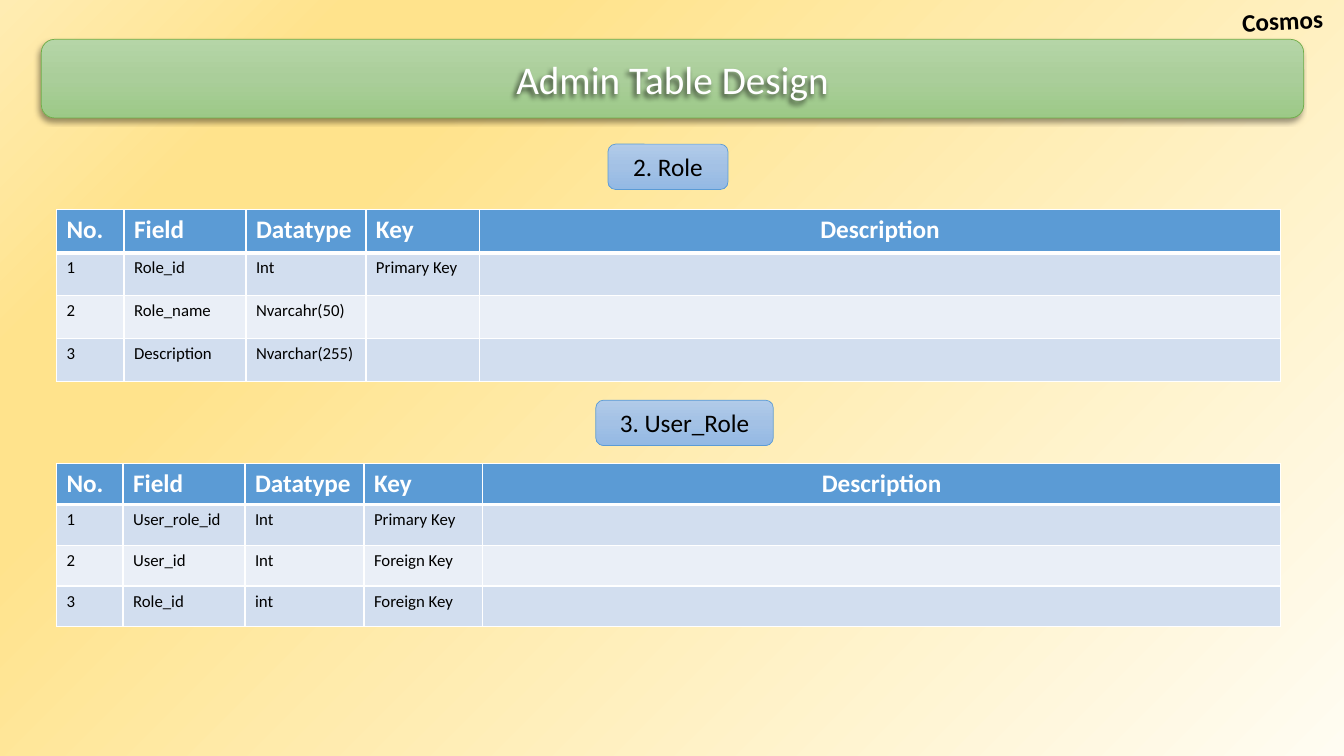
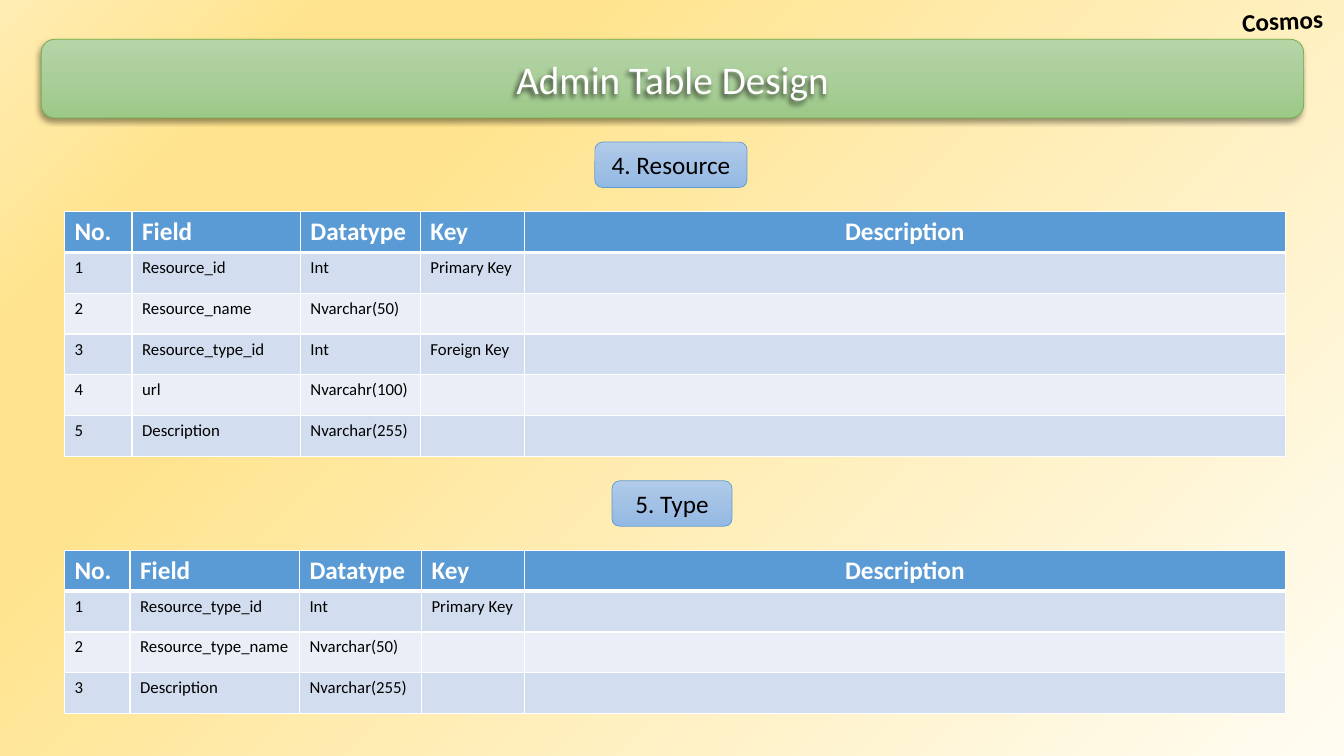
"""Build two slides of admin table designs with python-pptx."""
from lxml import etree
from pptx import Presentation
from pptx.dml.color import RGBColor
from pptx.enum.shapes import MSO_SHAPE
from pptx.enum.text import MSO_ANCHOR, MSO_AUTO_SIZE, PP_ALIGN
from pptx.oxml.ns import qn
from pptx.util import Inches, Pt

ROUNDED = MSO_SHAPE.ROUNDED_RECTANGLE
LEFT, CENTER = PP_ALIGN.LEFT, PP_ALIGN.CENTER
MIDDLE = MSO_ANCHOR.MIDDLE
GROW = MSO_AUTO_SIZE.SHAPE_TO_FIT_TEXT

FONT = "Calibri"
TITLE = "Admin Table Design"
MARK = "Cosmos"
HEADINGS = ("No.", "Field", "Datatype", "Key", "Description")
COLORS = {
    "white": "FFFFFF", "black": "000000", "header": "5B9BD5",
    "odd": "D2DEEF", "even": "EAEFF7",
    "band_line": "70AD47", "label_line": "5B9BD5",
}
BACKGROUND = ((0, "FFFCF2"), (74, "FFE38C"), (83, "FFE38C"), (100, "FFECB2"))
BAND = ((0, "B5D5A7"), (50, "AACE9A"), (100, "9CC987"))
LABEL = ((0, "B1CBE9"), (50, "A3C1E5"), (100, "93B9E4"))

SLIDES = [
    [
        {"label": "2. Role", "label_at": (6.03, 1.43, 1.19, 0.45),
         "at": (0.56, 2.08), "width": 12.14, "height": 1.71,
         "cols": (0.67, 1.21, 1.19, 1.13),
         "rows": [("Role_id", "Int", "Primary Key"),
                  ("Role_name", "Nvarcahr(50)", ""),
                  ("Description", "Nvarchar(255)", "")]},
        {"label": "3. User_Role", "label_at": (5.91, 3.97, 1.76, 0.45),
         "at": (0.56, 4.6), "width": 12.14, "height": 1.62,
         "cols": (0.66, 1.21, 1.18, 1.18),
         "rows": [("User_role_id", "Int", "Primary Key"),
                  ("User_id", "Int", "Foreign Key"),
                  ("Role_id", "int", "Foreign Key")]},
    ],
    [
        {"label": "4. Resource", "label_at": (5.9, 1.41, 1.51, 0.45),
         "at": (0.64, 2.1), "width": 12.11, "height": 2.43,
         "cols": (0.67, 1.67, 1.19, 1.03),
         "rows": [("Resource_id", "Int", "Primary Key"),
                  ("Resource_name", "Nvarchar(50)", ""),
                  ("Resource_type_id", "Int", "Foreign Key"),
                  ("url", "Nvarcahr(100)", ""),
                  ("Description", "Nvarchar(255)", "")]},
        {"label": "5. Type", "label_at": (6.07, 4.77, 1.19, 0.45),
         "at": (0.64, 5.46), "width": 12.11, "height": 1.62,
         "cols": (0.65, 1.68, 1.21, 1.02),
         "rows": [("Resource_type_id", "Int", "Primary Key"),
                  ("Resource_type_name", "Nvarchar(50)", ""),
                  ("Description", "Nvarchar(255)", "")]},
    ],
]


def rgb(name):
    return RGBColor.from_string(COLORS[name])


def add_color(parent, value):
    return etree.SubElement(parent, qn("a:srgbClr"), val=value)


def set_gradient(fill, owner, stops, angle):
    fill.gradient()
    grad = next(owner.iter(qn("a:gradFill")))
    stop_list = grad.find(qn("a:gsLst"))
    stop_list.clear()
    for position, value in stops:
        add_color(etree.SubElement(stop_list, qn("a:gs"), pos=str(position * 1000)), value)
    grad.find(qn("a:lin")).set("ang", str(angle * 60000))


def set_shadow(shape, opacity):
    shape.shadow.inherit = False
    effects = next(shape.element.iter(qn("a:effectLst")))
    outer = etree.SubElement(effects, qn("a:outerShdw"), blurRad=str(Pt(4)),
                             dist=str(Pt(3)), dir=str(135 * 60000), rotWithShape="0")
    color = add_color(outer, COLORS["black"])
    etree.SubElement(color, qn("a:alpha"), val=str(opacity * 1000))


def make_line(tag, width, color):
    line = etree.Element(qn(tag), w=str(Pt(width)))
    add_color(etree.SubElement(line, qn("a:solidFill")), COLORS[color])
    return line


def write(tf, text, size=18, color="black", bold=False, align=LEFT):
    p = tf.paragraphs[0]
    p.alignment = align
    r = p.add_run()
    r.text = text
    r.font.name, r.font.size, r.font.bold = FONT, Pt(size), bold
    r.font.color.rgb = rgb(color)
    return r


def add_box(s, at, stops, line):
    box = s.shapes.add_shape(ROUNDED, *map(Inches, at))
    box.shadow.inherit = False
    set_gradient(box.fill, box.element, stops, 90)
    box.line.color.rgb = rgb(line)
    box.line.width = Pt(0.5)
    return box


def add_header(s):
    title = s.shapes.title
    title.left, title.top, title.width, title.height = map(Inches, (5, 0.5, 3.34, 0.57))
    tf = title.text_frame
    tf.word_wrap, tf.auto_size, tf.vertical_anchor = False, GROW, MIDDLE
    write(tf, TITLE, size=28, color="white", align=CENTER)
    set_shadow(title, 70)
    band = add_box(s, (0.41, 0.39, 12.52, 0.78), BAND, "band_line")
    set_shadow(band, 40)
    title.element.addprevious(band.element)


def add_mark(s):
    mark = s.shapes.add_textbox(*map(Inches, (12.22, 0, 1, 0.4)))
    mark.rotation = -3
    tf = mark.text_frame
    tf.word_wrap, tf.auto_size = False, GROW
    tf.margin_left = tf.margin_right = 0
    r = write(tf, MARK, bold=True, align=CENTER)
    next(r._r.iter(qn("a:rPr"))).insert(0, make_line("a:ln", 0.75, "white"))


def format_cell(cell, text, row, centered):
    header = row == 0
    cell.fill.solid()
    cell.fill.fore_color.rgb = rgb("header" if header else ("even", "odd")[row % 2])
    widths = {"a:lnL": 1, "a:lnR": 1, "a:lnT": 3 if row == 1 else 1, "a:lnB": 3 if header else 1}
    tc_pr = next(cell._tc.iter(qn("a:tcPr")))
    for i, (tag, width) in enumerate(widths.items()):
        tc_pr.insert(i, make_line(tag, width, "white"))
    if text:
        write(cell.text_frame, text, size=18 if header else 12, bold=header,
              color="white" if header else "black", align=CENTER if centered else LEFT)


def add_design(s, design):
    label = add_box(s, design["label_at"], LABEL, "label_line")
    label.text_frame.vertical_anchor = MIDDLE
    write(label.text_frame, design["label"], align=CENTER)

    rows = [HEADINGS] + [(str(n), *row, "") for n, row in enumerate(design["rows"], 1)]
    cols = (*design["cols"], design["width"] - sum(design["cols"]))
    size = (design["width"], design["height"])
    table = s.shapes.add_table(len(rows), len(cols), *map(Inches, design["at"] + size)).table
    for column, width in zip(table.columns, cols):
        column.width = Inches(width)
    for i, row in enumerate(rows):
        table.rows[i].height = Inches(design["height"] / len(rows))
        for j, text in enumerate(row):
            format_cell(table.cell(i, j), text, i, i == 0 and j == len(cols) - 1)


def main():
    prs = Presentation()
    prs.slide_width, prs.slide_height = Inches(13.33), Inches(7.5)
    master = prs.slide_master
    set_gradient(master.background.fill, master.element, BACKGROUND, 225)
    for designs in SLIDES:
        s = prs.slides.add_slide(prs.slide_layouts[5])
        add_header(s)
        for design in designs:
            add_design(s, design)
        add_mark(s)
    prs.save("out.pptx")


if __name__ == "__main__":
    main()
